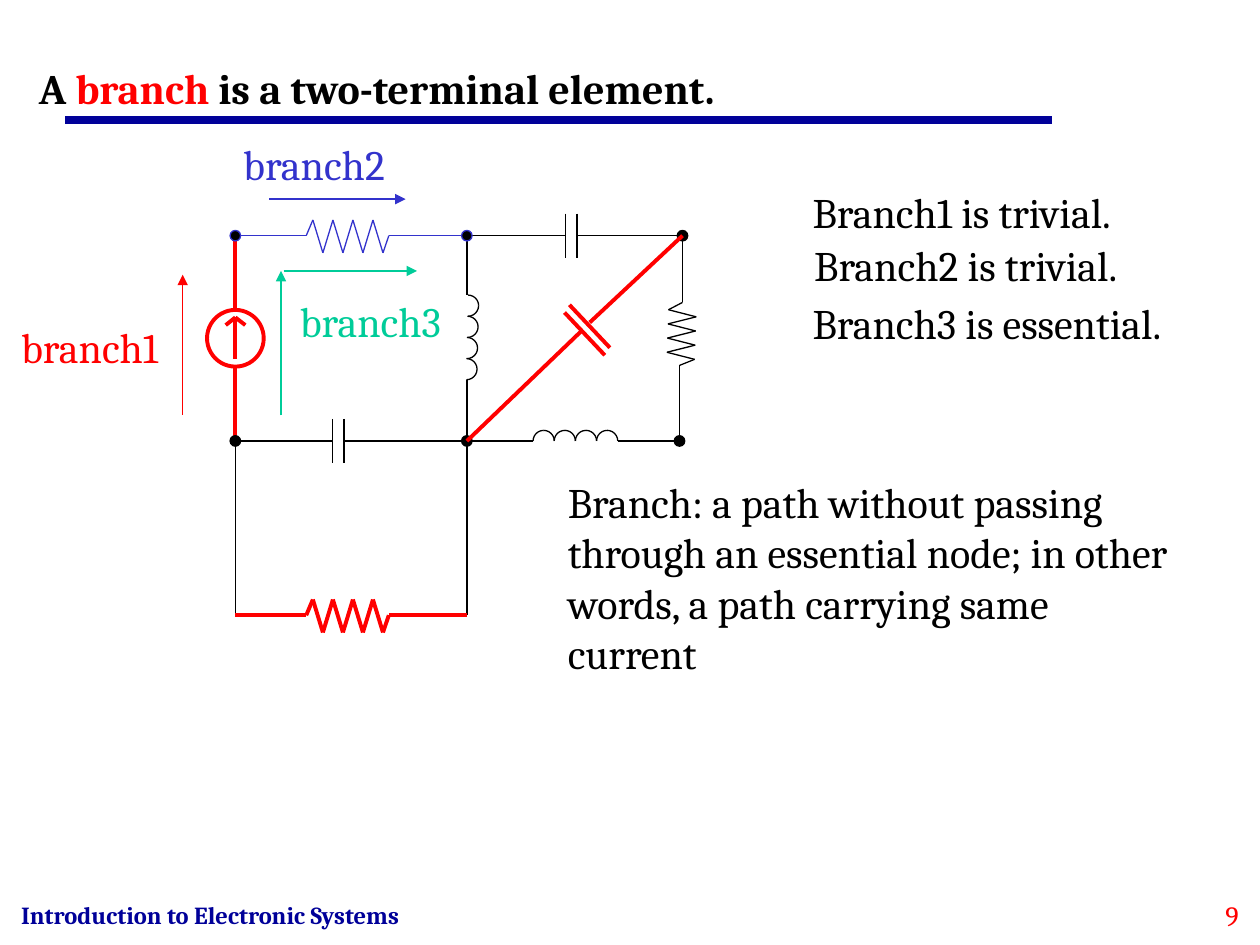
from itertools import pairwise

from lxml import etree
from pptx import Presentation
from pptx.dml.color import RGBColor
from pptx.enum.shapes import MSO_CONNECTOR, MSO_SHAPE
from pptx.enum.text import MSO_ANCHOR, MSO_AUTO_SIZE, PP_ALIGN
from pptx.oxml.ns import qn
from pptx.util import Pt

STRAIGHT = MSO_CONNECTOR.STRAIGHT
ELLIPSE, ARC = MSO_SHAPE.OVAL, MSO_SHAPE.ARC
LEFT, RIGHT = PP_ALIGN.LEFT, PP_ALIGN.RIGHT
MIDDLE = MSO_ANCHOR.MIDDLE
FIT, FIXED = MSO_AUTO_SIZE.SHAPE_TO_FIT_TEXT, MSO_AUTO_SIZE.NONE

FONT = "Cambria"
BLACK, RED, BLUE, GREEN, NAVY = "000000", "FF0000", "3333CC", "00CC99", "000099"
THIN, THICK = 0.75, 2.25

# Circuit grid, in points
X_LEFT, X_MID, X_RIGHT_TOP, X_RIGHT_LOW = 134.5, 266.8, 390, 388.3
Y_TOP, Y_MID, Y_LOW = 134.7, 252, 351.6
DOT, TURN, SOURCE = 6, 12.1, 32.4


def rgb(color):
    return RGBColor.from_string(color)


class CircuitSlide:
    def __init__(self, slide, font):
        self.slide = slide
        self.shapes = slide.shapes
        self.font = font

    def style_font(self, font, size, color, bold=False):
        font.name, font.size, font.bold = self.font, Pt(size), bold
        font.color.rgb = rgb(color)

    def title(self, runs, x, y, w, h):
        """Fill the title from (text, color) pairs."""
        title = self.shapes.title
        title.left, title.top, title.width, title.height = map(Pt, (x, y, w, h))
        frame = title.text_frame
        frame.auto_size, frame.vertical_anchor = FIXED, MIDDLE
        paragraph = frame.paragraphs[0]
        paragraph.alignment = LEFT
        for text, color in runs:
            run = paragraph.add_run()
            run.text = text
            self.style_font(run.font, 24, color, bold=True)

    def text(self, text, x, y, w, h=36, color=BLACK, size=24, bold=False,
             align=LEFT, fit=FIT):
        frame = self.shapes.add_textbox(Pt(x), Pt(y), Pt(w), Pt(h)).text_frame
        frame.word_wrap, frame.auto_size = True, fit
        paragraph = frame.paragraphs[0]
        paragraph.text, paragraph.alignment = text, align
        self.style_font(paragraph.font, size, color, bold)

    def line(self, start, end, color=BLACK, width=THIN, arrow=False):
        line = self.shapes.add_connector(STRAIGHT, *map(Pt, (*start, *end)))
        line.line.color.rgb, line.line.width = rgb(color), Pt(width)
        properties = line._element.spPr
        etree.SubElement(properties, qn("a:effectLst"))
        if arrow:
            outline = properties.find(qn("a:ln"))
            etree.SubElement(outline, qn("a:tailEnd"), type="triangle")

    def wire(self, points, color=BLACK, width=THIN):
        """Join consecutive points with straight segments."""
        for start, end in pairwise(points):
            self.line(start, end, color, width)

    def outline(self, kind, x, y, size, color=BLACK, width=THIN, fill=None):
        shape = self.shapes.add_shape(kind, Pt(x), Pt(y), Pt(size), Pt(size))
        shape.shadow.inherit = False
        shape.line.color.rgb, shape.line.width = rgb(color), Pt(width)
        if fill:
            shape.fill.solid()
            shape.fill.fore_color.rgb = rgb(fill)
        else:
            shape.fill.background()
        return shape

    def node(self, x, y, color=BLACK):
        self.outline(ELLIPSE, x - DOT / 2, y - DOT / 2, DOT, color, fill=BLACK)

    def coil_turn(self, x, y, rotations):
        """Draw half a circle as two quarter arcs."""
        for rotation in rotations:
            self.outline(ARC, x, y, TURN).rotation = rotation

    def horizontal_resistor(self, y, color, width):
        zigzag = [(178.8 + 5.72 * i, y + (9.8 if i % 2 else -9)) for i in range(8)]
        self.wire([(X_LEFT, y), (175, y), *zigzag, (222.2, y), (X_MID, y)],
                  color, width)

    def vertical_resistor(self):
        zigzag = [(382 - 0.15 * i + 16 * (i % 2), 177 + 4.05 * i) for i in range(8)]
        self.wire([(X_RIGHT_TOP, Y_TOP), (X_RIGHT_TOP, 172.8), *zigzag,
                   (X_RIGHT_LOW, 208.8), (X_RIGHT_LOW, Y_MID)])

    def capacitor(self, plates, y, x_start, x_end):
        for x in plates:
            self.line((x, y - 12.6), (x, y + 12.8))
        self.line((x_start, y), (plates[0], y))
        self.line((plates[1], y), (x_end, y))

    def current_source(self):
        y = 177.1
        self.outline(ELLIPSE, X_LEFT - SOURCE / 2, y, SOURCE, RED, THICK)
        tip = (X_LEFT, 181.4)
        for end in ((X_LEFT, 205.2), (129, 185.8), (140.2, 185.8)):
            self.line(tip, end, RED, THICK)
        for y_touch, y_far in ((y, Y_TOP), (y + SOURCE, Y_MID)):
            self.line((X_LEFT, y_touch), (X_LEFT, y_far), RED, THICK)

    def diagonal_capacitor(self):
        for start, end in (((X_RIGHT_TOP, Y_TOP), (337, 184.3)),
                           ((325.4, 174.2), (348.5, 198.7)),
                           ((332, 189.4), (X_MID, Y_MID)),
                           ((322.6, 178.6), (345.6, 203))):
            self.line(start, end, RED, THICK)


def draw_circuit(circuit):
    circuit.current_source()

    for i in range(4):
        circuit.coil_turn(261.4 - 0.3 * i, 168.6 + TURN * i, (0, 90))
        circuit.coil_turn(304.6 + TURN * i, 245.9, (0, 270))
    circuit.line((X_MID, Y_TOP), (X_MID, 168.6))
    circuit.wire([(X_MID, 217.2), (X_MID, Y_MID), (304.6, Y_MID)])
    circuit.line((353, Y_MID), (X_RIGHT_LOW, Y_MID))

    circuit.capacitor((323.2, 329.8), Y_TOP, X_MID, X_RIGHT_TOP)
    circuit.capacitor((190, 196.5), Y_MID, X_LEFT, X_MID)
    circuit.vertical_resistor()
    for x in (X_LEFT, X_MID):
        circuit.line((x, Y_MID), (x, Y_LOW))
    circuit.horizontal_resistor(Y_LOW, RED, THICK)

    for x, y in ((X_MID, Y_MID), (X_RIGHT_TOP, Y_TOP),
                 (X_RIGHT_LOW, Y_MID), (X_LEFT, Y_MID)):
        circuit.node(x, y)
    circuit.horizontal_resistor(Y_TOP, BLUE, THIN)
    for x in (X_MID, X_LEFT):
        circuit.node(x, Y_TOP, BLUE)
    circuit.diagonal_capacitor()


def main():
    prs = Presentation()
    prs.slide_width, prs.slide_height = Pt(720), Pt(540)
    circuit = CircuitSlide(prs.slides.add_slide(prs.slide_layouts[5]), FONT)

    circuit.text("Introduction to Electronic Systems", 5, 510.5, 277, 19.5,
                 NAVY, 14, bold=True, fit=FIXED)
    circuit.line((37.4, 68.6), (601.2, 68.6), NAVY, 4.5)
    circuit.title([("A ", BLACK), ("branch", RED),
                   (" is a two-terminal element.", BLACK)], 15, 25.2, 597, 49.7)

    draw_circuit(circuit)

    for start, end, color in (((104.4, 237), (104.4, 157), RED),
                              ((154, 113.8), (231.8, 113.8), BLUE),
                              ((160.6, 237.4), (160.6, 154.8), GREEN),
                              ((162, 154.8), (238.3, 154.8), GREEN)):
        circuit.line(start, end, color, arrow=True)
    for label, x, y, w, color in (("branch1", 5, 180.2, 101, RED),
                                  ("branch2", 131.9, 75.6, 105, BLUE),
                                  ("branch3", 164.2, 165.6, 109, GREEN)):
        circuit.text(label, x, y, w, color=color)

    for remark, x, y in (("Branch1 is trivial.", 457.2, 103),
                         ("Branch2 is trivial.", 458.2, 133.2),
                         ("Branch3 is essential.", 457.2, 166.4)):
        circuit.text(remark, x, y, 240)
    circuit.text("Branch: a path without passing through an essential node; "
                 "in other words, a path carrying same current",
                 317.4, 268.6, 360, 122.4)
    circuit.text("9", 666.7, 509.8, 48.2, 24.5, RED, 16, align=RIGHT, fit=FIXED)

    prs.save("out.pptx")


if __name__ == "__main__":
    main()
